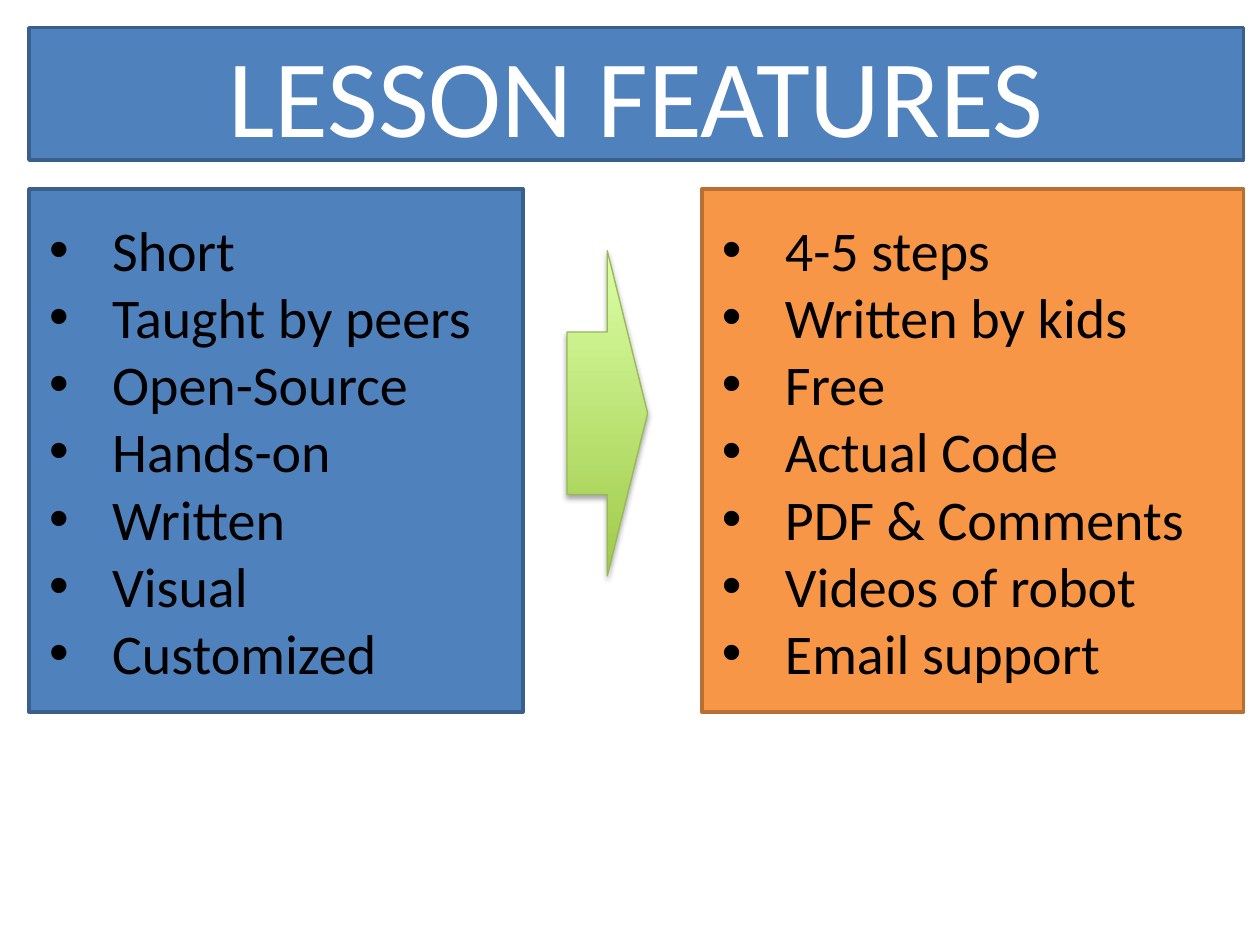
from lxml.etree import SubElement
from pptx import Presentation
from pptx.dml.color import RGBColor
from pptx.enum.shapes import MSO_SHAPE as Shape
from pptx.enum.text import MSO_ANCHOR as Anchor, MSO_AUTO_SIZE as AutoSize, PP_ALIGN as Align
from pptx.oxml.ns import qn
from pptx.util import Inches, Pt

COLORS = {
    "blue": "4F81BD", "blue_edge": "3A5F8C",
    "orange": "F79646", "orange_edge": "B76F34",
    "green_dark": "A0CA4A", "green_light": "DAFFA5", "green_edge": "98B955",
    "white": "FFFFFF", "black": "000000",
}
FEATURES = ["Short", "Taught by peers", "Open-Source", "Hands-on",
            "Written", "Visual", "Customized"]
DETAILS = ["4-5 steps", "Written by kids", "Free", "Actual Code",
           "PDF & Comments", "Videos of robot", "Email support"]
LEFT, RIGHT = 0.23, 9.87
PANEL_TOP, PANEL_HEIGHT = 1.5, 4.15


def rgb(name):
    return RGBColor.from_string(COLORS[name])


def style_box(box, color):
    box.fill.solid()
    box.fill.fore_color.rgb = rgb(color)
    box.line.color.rgb = rgb(color + "_edge")
    box.line.width = Pt(2)
    frame = box.text_frame
    frame.word_wrap = True
    frame.auto_size = AutoSize.NONE
    frame.vertical_anchor = Anchor.MIDDLE
    frame.margin_left = frame.margin_right = Inches(0.16)
    frame.margin_top = frame.margin_bottom = Inches(0.08)


def style_text(paragraph, size, color, align):
    paragraph.alignment = align
    paragraph.font.name = "Calibri"
    paragraph.font.size = Pt(size)
    paragraph.font.color.rgb = rgb(color)


def add_bullet(paragraph):
    props = paragraph._p.get_or_add_pPr()
    props.set("marL", str(Inches(0.5)))
    props.set("indent", str(Inches(-0.5)))
    SubElement(props, qn("a:buFont"), typeface="Arial")
    SubElement(props, qn("a:buChar"), char="•")


def set_title(slide, text):
    title = slide.shapes.title
    title.left, title.top = Inches(LEFT), Inches(0.22)
    title.width, title.height = Inches(RIGHT - LEFT), Inches(1.05)
    title.text_frame.text = text
    style_box(title, "blue")
    style_text(title.text_frame.paragraphs[0], 63, "white", Align.CENTER)


def add_panel(slide, left, width, color, items):
    panel = slide.shapes.add_shape(
        Shape.RECTANGLE, Inches(left), Inches(PANEL_TOP), Inches(width), Inches(PANEL_HEIGHT))
    panel.shadow.inherit = False
    style_box(panel, color)
    panel.text_frame.text = "\n".join(items)
    for paragraph in panel.text_frame.paragraphs:
        add_bullet(paragraph)
        style_text(paragraph, 32, "black", Align.LEFT)


def add_shadow(shape):
    shape.shadow.inherit = False
    effects = shape._element.spPr.find(qn("a:effectLst"))
    shadow = SubElement(effects, qn("a:outerShdw"), blurRad=str(Pt(3.1)),
                        dist=str(Pt(1.8)), dir="5400000", rotWithShape="0")
    tint = SubElement(shadow, qn("a:srgbClr"), val=COLORS["black"])
    SubElement(tint, qn("a:alpha"), val="35000")


def add_arrow(slide):
    arrow = slide.shapes.add_shape(
        Shape.RIGHT_ARROW, Inches(4.5), Inches(1.99), Inches(0.64), Inches(2.58))
    arrow.fill.gradient()
    arrow.fill.gradient_angle = 90
    for stop, color in zip(arrow.fill.gradient_stops, ("green_dark", "green_light")):
        stop.color.rgb = rgb(color)
    arrow.line.color.rgb = rgb("green_edge")
    arrow.line.width = Pt(0.75)
    add_shadow(arrow)


def main():
    deck = Presentation()
    deck.slide_width, deck.slide_height = Inches(10), Inches(7.5)
    slide = deck.slides.add_slide(deck.slide_layouts[5])

    # Title banner
    set_title(slide, "LESSON FEATURES")

    # Features on the left lead to details on the right
    add_panel(slide, LEFT, 3.92, "blue", FEATURES)
    add_panel(slide, RIGHT - 4.3, 4.3, "orange", DETAILS)
    add_arrow(slide)

    deck.save("out.pptx")


if __name__ == "__main__":
    main()
